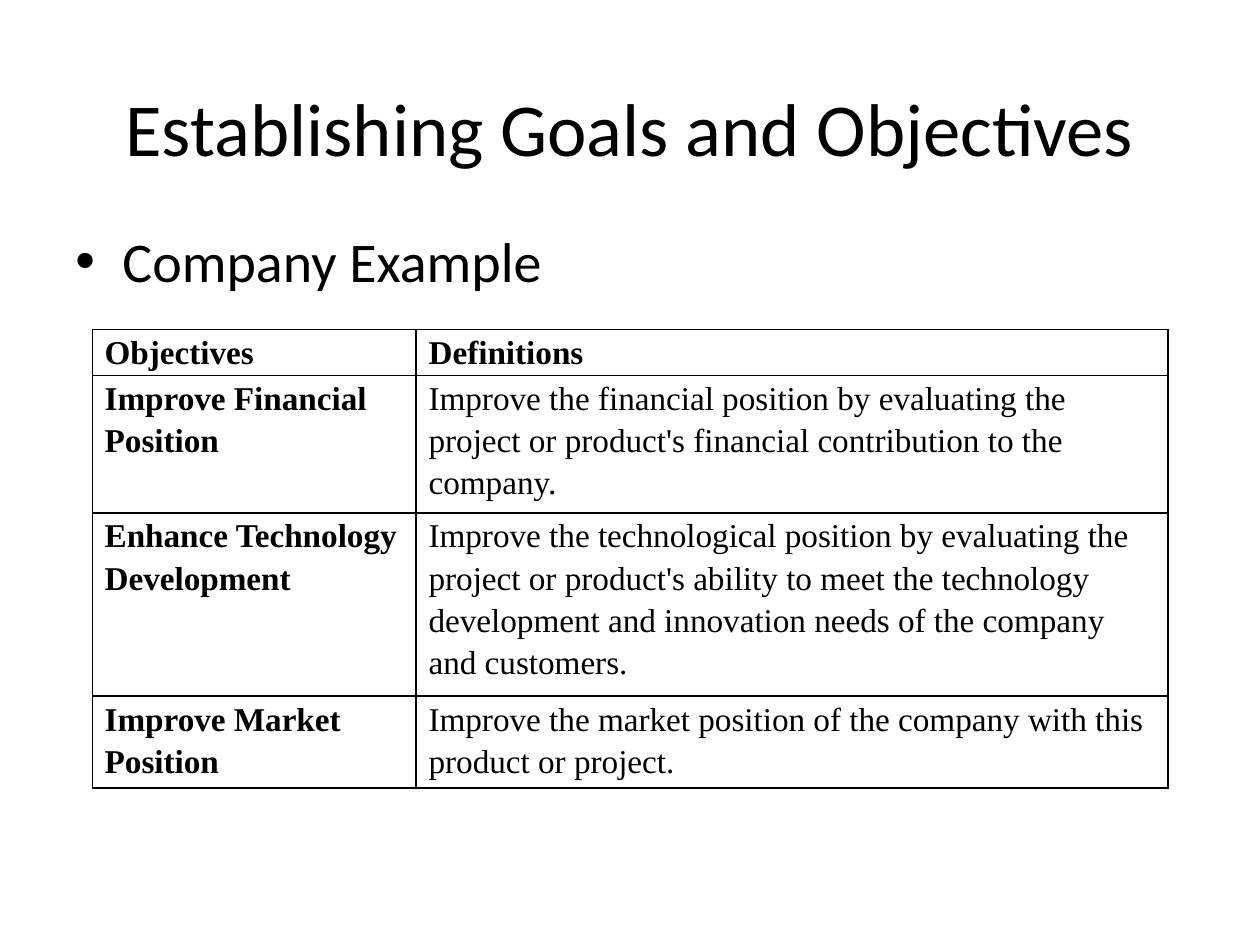
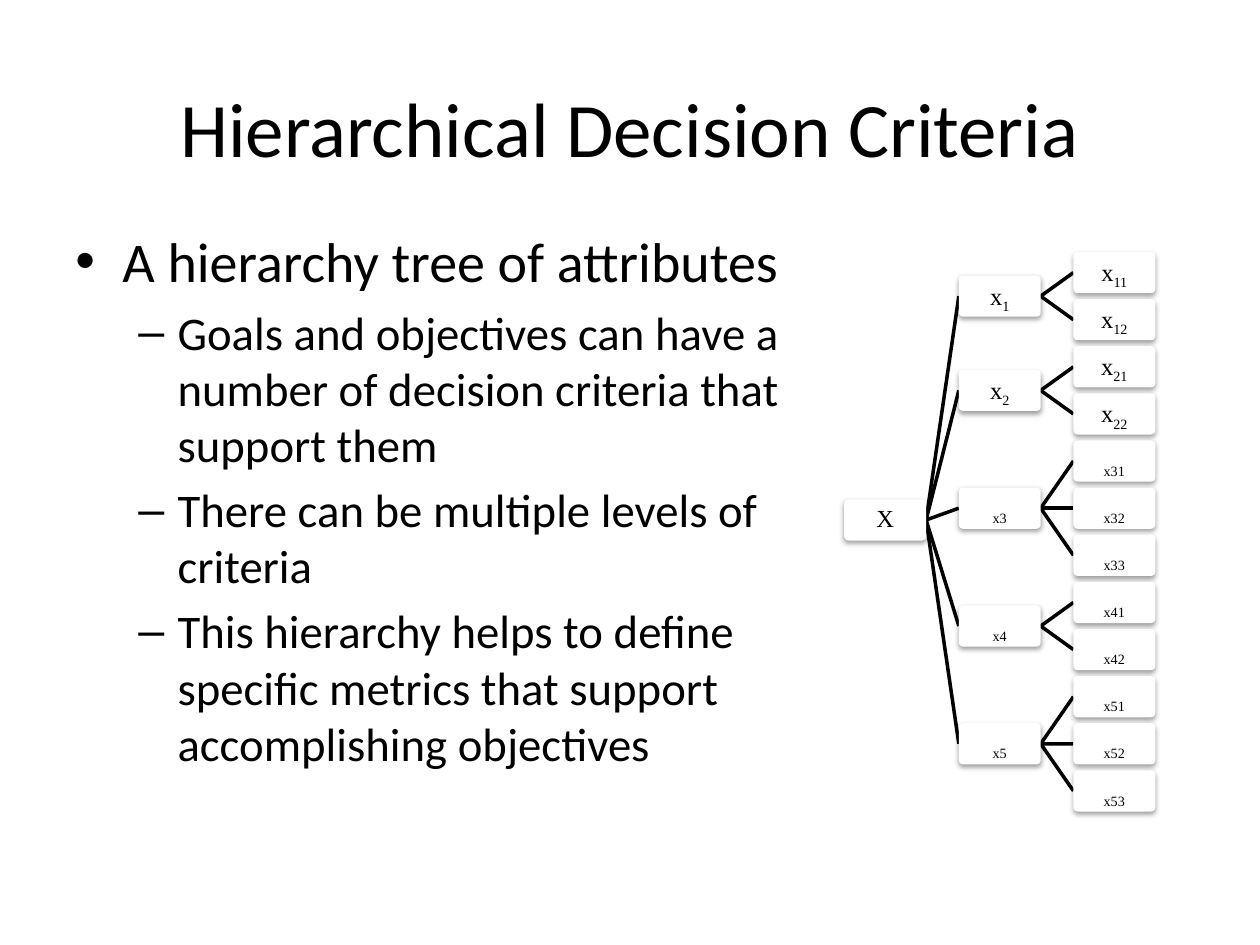
from lxml import etree
from pptx import Presentation
from pptx.dml.color import RGBColor
from pptx.enum.shapes import MSO_CONNECTOR, MSO_SHAPE
from pptx.enum.text import MSO_ANCHOR, PP_ALIGN
from pptx.oxml import parse_xml
from pptx.oxml.ns import nsdecls, qn
from pptx.util import Cm, Pt

BLACK = RGBColor(0, 0, 0)
WHITE = RGBColor(255, 255, 255)
SANS = "Calibri"
SERIF = "Times New Roman"
ROUND = MSO_SHAPE.ROUNDED_RECTANGLE
LINE = MSO_CONNECTOR.STRAIGHT
TOP, MIDDLE = MSO_ANCHOR.TOP, MSO_ANCHOR.MIDDLE
LEFT, CENTER = PP_ALIGN.LEFT, PP_ALIGN.CENTER

# Bullet levels: mark, size in points, left margin and hang in cm
LEVELS = (("\u2022", 32, 0.95, 0.95), ("\u2013", 26.7, 2.06, 0.79))

# Tree measures in cm
BOX_W, BOX_H = 1.65, 0.83
TREE_X, TREE_Y = 17.02, 5.08
STEP_X, STEP_Y = 2.31, 0.95

GOALS = (
    ("Objectives", "Definitions"),
    ("Improve Financial Position",
     "Improve the financial position by evaluating the project or product's "
     "financial contribution to the company."),
    ("Enhance Technology Development",
     "Improve the technological position by evaluating the project or "
     "product's ability to meet the technology development and innovation "
     "needs of the company and customers."),
    ("Improve Market Position",
     "Improve the market position of the company with this product or "
     "project."),
)
LEAVES = (2, 2, 3, 2, 3)


class Deck:
    """Holds the shared style and the current slide."""

    def __init__(self):
        """Start an empty 4:3 deck."""
        self.prs = Presentation()
        self.prs.slide_width, self.prs.slide_height = Cm(25.4), Cm(19.05)
        self.shapes = None

    def page(self, title, size=44):
        """Add a white slide with a centred title."""
        slide = self.prs.slides.add_slide(self.prs.slide_layouts[6])
        slide.background.fill.solid()
        slide.background.fill.fore_color.rgb = WHITE
        self.shapes = slide.shapes
        frame = self.frame(1.27, 0.97, 22.86, 3.18, MIDDLE)
        para = frame.paragraphs[0]
        para.alignment = CENTER
        self.run(para, title, size)

    def frame(self, x, y, w, h, anchor=TOP):
        """Add a wrapping text box and return its text frame."""
        frame = self.shapes.add_textbox(Cm(x), Cm(y), Cm(w), Cm(h)).text_frame
        frame.word_wrap = True
        frame.vertical_anchor = anchor
        return frame

    def run(self, para, text, size, font=SANS, bold=False, sub=False):
        """Add one styled run."""
        run = para.add_run()
        run.text = text
        run.font.name, run.font.size = font, Pt(size)
        run.font.bold = bold
        run.font.color.rgb = BLACK
        if sub:
            run.font._element.set("baseline", "-25000")

    def list(self, items, width):
        """Add a bullet list from (level, text) pairs."""
        frame = self.frame(1.27, 4.45, width, 12.57)
        for i, (level, text) in enumerate(items):
            para = frame.add_paragraph() if i else frame.paragraphs[0]
            mark, size, left, hang = LEVELS[level]
            para.level = level
            para.alignment = LEFT
            para.space_before = Pt(round(size * 0.2, 1))
            props = para._p.get_or_add_pPr()
            props.set("marL", str(Cm(left)))
            props.set("indent", str(-Cm(hang)))
            etree.SubElement(props, qn("a:buFont"), typeface="Arial")
            etree.SubElement(props, qn("a:buChar"), char=mark)
            self.run(para, text, size)

    def table(self, rows, x, y, widths, heights):
        """Add a ruled table with a bold first row and column."""
        grid = self.shapes.add_table(
            len(rows), len(widths), Cm(x), Cm(y),
            Cm(sum(widths)), Cm(sum(heights))).table
        grid.first_row = grid.horz_banding = False
        for col, width in zip(grid.columns, widths):
            col.width = Cm(width)
        for r, (row, height) in enumerate(zip(rows, heights)):
            grid.rows[r].height = Cm(height)
            for c, text in enumerate(row):
                self.cell(grid.cell(r, c), text, r == 0 or c == 0)

    def cell(self, cell, text, bold):
        """Fill, rule and write one table cell."""
        cell.fill.solid()
        cell.fill.fore_color.rgb = WHITE
        cell.margin_left = cell.margin_right = Cm(0.25)
        cell.margin_top = cell.margin_bottom = 0
        para = cell.text_frame.paragraphs[0]
        para.line_spacing = 1.15
        para.space_after = Pt(3)
        self.run(para, text, 19, SERIF, bold)
        props = cell._tc.get_or_add_tcPr()
        for i, side in enumerate("LRTB"):
            props.insert(i, parse_xml(
                f'<a:ln{side} {nsdecls("a")} w="{Pt(1)}"><a:solidFill>'
                f'<a:srgbClr val="{BLACK}"/></a:solidFill></a:ln{side}>'))

    def box(self, x, y, parts):
        """Add a shadowed tree box; parts are (text, is subscript) pairs."""
        box = self.shapes.add_shape(ROUND, Cm(x), Cm(y), Cm(BOX_W), Cm(BOX_H))
        box.adjustments[0] = 0.1
        box.fill.solid()
        box.fill.fore_color.rgb = WHITE
        box.line.fill.background()
        box._element.spPr.append(parse_xml(
            f'<a:effectLst {nsdecls("a")}><a:outerShdw blurRad="{Pt(3.1)}" '
            f'dist="{Pt(1.6)}" dir="5400000" rotWithShape="0">'
            f'<a:srgbClr val="{BLACK}"><a:alpha val="38000"/></a:srgbClr>'
            '</a:outerShdw></a:effectLst>'))
        frame = box.text_frame
        frame.word_wrap = True
        frame.vertical_anchor = MIDDLE
        frame.margin_left = frame.margin_right = Cm(0.05)
        frame.margin_top = frame.margin_bottom = Cm(0.05)
        para = frame.paragraphs[0]
        para.alignment = CENTER
        para.line_spacing = 0.9
        for text, sub in parts:
            self.run(para, text, 14, SERIF, sub=sub)

    def link(self, x, start, end):
        """Join a box in the column at x to a box in the next column."""
        half = BOX_H / 2
        line = self.shapes.add_connector(
            LINE, Cm(x + BOX_W), Cm(start + half),
            Cm(x + STEP_X), Cm(end + half))
        line.line.color.rgb = BLACK
        line.line.width = Pt(2)
        etree.SubElement(line._element.spPr, qn("a:effectLst"))

    def tree(self, counts):
        """Draw a root, its branches and their leaves from left to right."""
        cols = [TREE_X + i * STEP_X for i in range(3)]
        tops, row = [], 0
        for b, count in enumerate(counts, 1):
            leaves = [TREE_Y + (row + i) * STEP_Y for i in range(count)]
            row += count
            mid = (leaves[0] + leaves[-1]) / 2
            tops.append(mid)
            for n, top in enumerate(leaves, 1):
                self.link(cols[1], mid, top)
                self.box(cols[2], top, label(b, n))
        root = (tops[0] + tops[-1]) / 2
        for b, top in enumerate(tops, 1):
            self.link(cols[0], root, top)
            self.box(cols[1], top, label(b))
        self.box(cols[0], root, [("X", False)])


def label(branch, leaf=""):
    """Return the runs of a node; from branch 3 on all is subscript."""
    index = f"{branch}{leaf}"
    if branch < 3:
        return [("x", False), (index, True)]
    return [("x" + index, True)]


deck = Deck()

deck.page("Establishing Goals and Objectives", 42.7)
deck.list([(0, "Company Example")], 22.86)
deck.table(GOALS, 1.86, 6.64, (6.53, 15.16), (0.91, 2.55, 3.64, 1.83))

deck.page("Hierarchical Decision Criteria")
deck.list([
    (0, "A hierarchy tree of attributes"),
    (1, "Goals and objectives can have a number of decision criteria that "
        "support them"),
    (1, "There can be multiple levels of criteria"),
    (1, "This hierarchy helps to define specific metrics that support "
        "accomplishing objectives"),
], 15.06)
deck.tree(LEAVES)

deck.prs.save("out.pptx")
